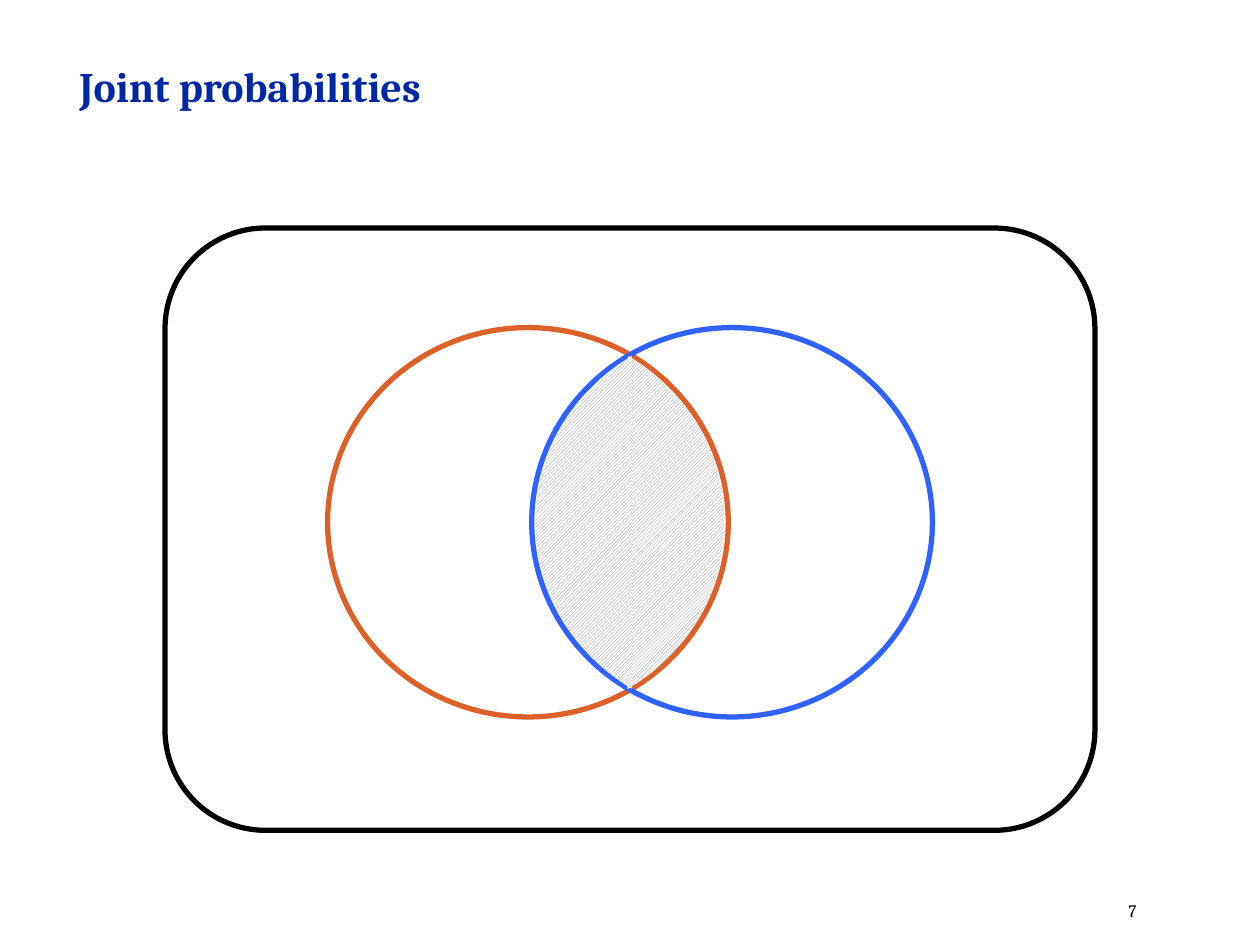
from dataclasses import dataclass

from pptx import Presentation
from pptx.dml.color import RGBColor
from pptx.enum.dml import MSO_PATTERN
from pptx.enum.shapes import MSO_SHAPE
from pptx.enum.text import MSO_ANCHOR, PP_ALIGN
from pptx.util import Inches, Pt

ROUND = MSO_SHAPE.ROUNDED_RECTANGLE
OVAL = MSO_SHAPE.OVAL
CHORD = MSO_SHAPE.CHORD
HATCH = MSO_PATTERN.LIGHT_UPWARD_DIAGONAL
LEFT, RIGHT = PP_ALIGN.LEFT, PP_ALIGN.RIGHT
TOP = MSO_ANCHOR.TOP


@dataclass
class Theme:
    font: str = "Cambria"
    title: str = "0028A5"
    black: str = "000000"
    white: str = "FFFFFF"
    orange: str = "DC6027"
    blue: str = "3062FF"
    grey: str = "808080"
    title_size: int = 24
    page_size: int = 10
    line: int = 3


class Deck:
    def __init__(self, theme):
        self.theme = theme
        self.prs = Presentation()
        self.prs.slide_width, self.prs.slide_height = Inches(10), Inches(7.5)
        self.slide = self.prs.slides.add_slide(self.prs.slide_layouts[5])

    def label(self, frame, text, size, color, align, bold=False):
        frame.word_wrap = True
        frame.vertical_anchor = TOP
        para = frame.paragraphs[0]
        para.text = text
        para.alignment = align
        font = para.font
        font.name, font.size, font.bold = self.theme.font, Pt(size), bold
        font.color.rgb = RGBColor.from_string(color)

    def title(self, text, *box):
        shape = self.slide.shapes.title
        shape.left, shape.top, shape.width, shape.height = map(Inches, box)
        self.label(shape.text_frame, text, self.theme.title_size,
                   self.theme.title, LEFT, bold=True)

    def page(self, text, *box):
        frame = self.slide.shapes.add_textbox(*map(Inches, box)).text_frame
        frame.margin_left = frame.margin_right = 0
        frame.margin_top = frame.margin_bottom = 0
        self.label(frame, text, self.theme.page_size, self.theme.black, RIGHT)

    def shape(self, kind, *box):
        shape = self.slide.shapes.add_shape(kind, *map(Inches, box))
        shape.shadow.inherit = False
        return shape

    def outline(self, kind, color, *box):
        shape = self.shape(kind, *box)
        shape.fill.background()
        shape.line.color.rgb = RGBColor.from_string(color)
        shape.line.width = Pt(self.theme.line)

    def chord(self, turn, *box):
        shape = self.shape(CHORD, *box)
        # Arc ends, in units of 100000/60000 degrees
        shape.adjustments[0], shape.adjustments[1] = 73.04, 142.79
        shape.element.spPr.xfrm.set("flipH", "1")
        shape.rotation = turn
        shape.line.fill.background()
        fill = shape.fill
        fill.patterned()
        fill.pattern = HATCH
        fill.fore_color.rgb = RGBColor.from_string(self.theme.grey)
        fill.back_color.rgb = RGBColor.from_string(self.theme.white)


def main():
    theme = Theme()
    deck = Deck(theme)

    # Title and page number
    deck.title("Joint probabilities", 0.53, 0.43, 8.93, 0.5)
    deck.page("7", 8.15, 7.14, 0.87, 0.24)

    # Sample space
    deck.outline(ROUND, theme.black, 1.31, 1.81, 7.38, 4.78)

    # Two events, placed evenly about the middle
    mid, top, wide, high = 5, 2.6, 3.18, 3.09
    gap, inset = 0.81, 0.03
    events = ((-1, theme.orange), (1, theme.blue))
    for side, color in events:
        left = mid + side * gap - wide / 2
        deck.outline(OVAL, color, left, top, wide, high)

    # Hatched overlap, one half from each event
    for side, turn in ((-1, 0), (1, 180)):
        left = mid + side * (gap + inset) - wide / 2
        deck.chord(turn, left, top, wide, high)

    deck.prs.save("out.pptx")


if __name__ == "__main__":
    main()
